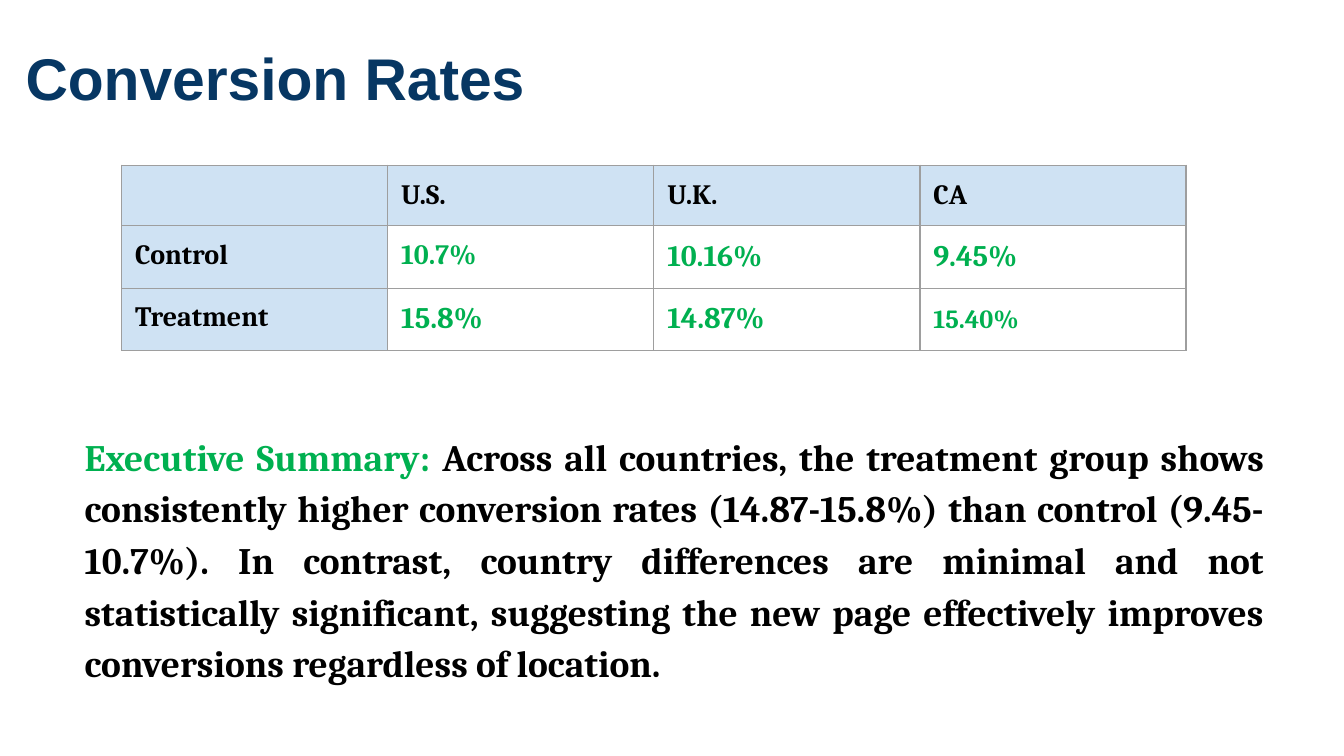
from lxml import etree
from pptx import Presentation
from pptx.dml.color import RGBColor
from pptx.enum.text import MSO_ANCHOR, MSO_AUTO_SIZE, PP_ALIGN
from pptx.oxml.ns import qn
from pptx.util import Pt

PX = 4572  # EMU per px, 200 px to the inch
INSET = 20 * PX
NAVY = RGBColor(0x07, 0x37, 0x63)
GREEN = RGBColor(0x00, 0xB0, 0x50)
BLACK = RGBColor(0x00, 0x00, 0x00)
WHITE = RGBColor(0xFF, 0xFF, 0xFF)
PALE_BLUE = RGBColor(0xCF, 0xE2, 0xF3)
GREY = RGBColor(0x9E, 0x9E, 0x9E)

RATES = [
    ["", "U.S.", "U.K.", "CA"],
    ["Control", "10.7%", "10.16%", "9.45%"],
    ["Treatment", "15.8%", "14.87%", "15.40%"],
]
ROW_HEIGHTS = (90, 93, 93)
VALUE_SIZES = {"10.7%": 15, "15.40%": 14}  # other values are 16 pt
SUMMARY = (
    "Across all countries, the treatment group shows consistently higher "
    "conversion rates (14.87-15.8%) than control (9.45-10.7%). In contrast, "
    "country differences are minimal and not statistically significant, "
    "suggesting the new page effectively improves conversions regardless of "
    "location."
)


def style_run(r, font, size, color):
    r.font.name = font
    r.font.size = Pt(size)
    r.font.bold = True
    r.font.color.rgb = color


def set_margins(target):
    target.margin_left = target.margin_right = INSET
    target.margin_top = target.margin_bottom = INSET


def place_text(sp, box):
    """Move a placeholder to box and return its top-anchored frame."""
    sp.left, sp.top, sp.width, sp.height = [v * PX for v in box]
    tf = sp.text_frame
    tf.word_wrap = True
    tf.auto_size = MSO_AUTO_SIZE.NONE
    tf.vertical_anchor = MSO_ANCHOR.TOP
    set_margins(tf)
    return tf


def add_title(s, box):
    tf = place_text(s.shapes.title, box)
    tf.text = "Conversion Rates"
    p = tf.paragraphs[0]
    p.alignment = PP_ALIGN.LEFT
    style_run(p.runs[0], "Arial", 31.5, NAVY)


def set_borders(cell):
    tc_pr = cell._tc.get_or_add_tcPr()
    for i, side in enumerate(("lnL", "lnR", "lnT", "lnB")):
        ln = etree.Element(qn(f"a:{side}"), w=str(Pt(0.75)))
        fill = etree.SubElement(ln, qn("a:solidFill"))
        etree.SubElement(fill, qn("a:srgbClr"), val=str(GREY))
        tc_pr.insert(i, ln)  # borders come before the fill


def add_rates_table(s, box):
    x, y, w, h = [v * PX for v in box]
    table = s.shapes.add_table(len(RATES), len(RATES[0]), x, y, w, h).table
    for i, (row, height) in enumerate(zip(RATES, ROW_HEIGHTS)):
        table.rows[i].height = height * PX
        for j, text in enumerate(row):
            cell = table.cell(i, j)
            is_header = i == 0 or j == 0
            cell.fill.solid()
            cell.fill.fore_color.rgb = PALE_BLUE if is_header else WHITE
            set_borders(cell)
            if not text:
                continue
            set_margins(cell)
            cell.text_frame.text = text
            size = 15 if is_header else VALUE_SIZES.get(text, 16)
            style_run(cell.text_frame.paragraphs[0].runs[0], "Cambria", size,
                      BLACK if is_header else GREEN)
    table.cell(2, 3).vertical_anchor = MSO_ANCHOR.MIDDLE


def add_summary(s, box):
    p = place_text(s.placeholders[1], box).paragraphs[0]
    p.alignment = PP_ALIGN.JUSTIFY
    p.line_spacing = 1.15
    p.space_before = Pt(0)
    p_pr = p._p.get_or_add_pPr()
    p_pr.set("marL", "0")
    p_pr.set("indent", "0")
    etree.SubElement(p_pr, qn("a:buNone"))
    for text, color in (("Executive Summary: ", GREEN), (SUMMARY, BLACK)):
        r = p.add_run()
        r.text = text
        style_run(r, "Cambria", 20, color)


def main():
    prs = Presentation()
    prs.slide_width, prs.slide_height = 2000 * PX, 1125 * PX
    s = prs.slides.add_slide(prs.slide_layouts[1])
    add_title(s, (18, 42, 2000, 146))
    add_rates_table(s, (181, 246, 1584, sum(ROW_HEIGHTS)))
    add_summary(s, (106, 616, 1796, 482))
    prs.save("out.pptx")


if __name__ == "__main__":
    main()
